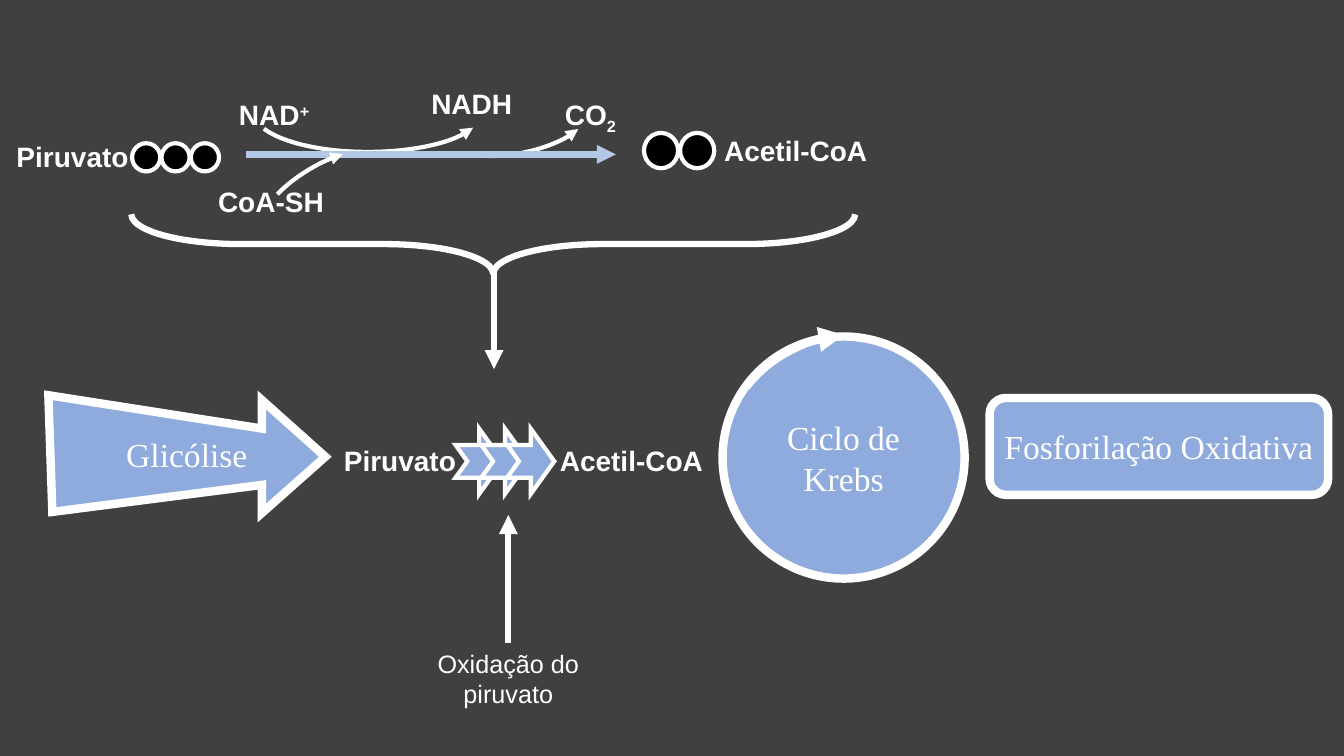
from dataclasses import dataclass

from lxml import etree
from pptx import Presentation
from pptx.dml.color import RGBColor
from pptx.enum.shapes import MSO_CONNECTOR, MSO_SHAPE
from pptx.enum.text import MSO_ANCHOR, MSO_AUTO_SIZE, PP_ALIGN
from pptx.oxml.ns import qn
from pptx.util import Cm, Pt

STRAIGHT = MSO_CONNECTOR.STRAIGHT
ARC, OVAL = MSO_SHAPE.ARC, MSO_SHAPE.OVAL
BRACE, CHEVRON = MSO_SHAPE.LEFT_BRACE, MSO_SHAPE.NOTCHED_RIGHT_ARROW
ROUNDED = MSO_SHAPE.ROUNDED_RECTANGLE
CENTER, MIDDLE = PP_ALIGN.CENTER, MSO_ANCHOR.MIDDLE
FIT_SHAPE = MSO_AUTO_SIZE.SHAPE_TO_FIT_TEXT
TOP = 0


@dataclass(frozen=True)
class Theme:
    background: str = "404040"
    white: str = "FFFFFF"
    carbon: str = "000000"
    stage: str = "8FAADC"
    reaction: str = "B4C7E7"
    label_font: str = "Arial"
    stage_font: str = "Times New Roman"
    label_size: int = 20
    note_size: int = 18
    stage_size: int = 24
    thin: float = 3
    medium: float = 4.5
    thick: float = 6


class Diagram:
    def __init__(self, slide, theme):
        self.s, self.t = slide, theme
        fill = slide.background.fill
        fill.solid()
        fill.fore_color.rgb = RGBColor.from_string(theme.background)

    def outline(self, sp, width, color=None, head=None):
        """Style a line; head is "headEnd" or "tailEnd"."""
        sp.line.color.rgb = RGBColor.from_string(color or self.t.white)
        sp.line.width = Pt(width)
        ln = sp.line._get_or_add_ln()
        etree.SubElement(ln, qn("a:miter"), lim="800000")
        if head:
            etree.SubElement(ln, qn("a:" + head), type="triangle")

    def paint(self, sp, fill, width, head=None):
        sp.shadow.inherit = False
        if fill:
            sp.fill.solid()
            sp.fill.fore_color.rgb = RGBColor.from_string(fill)
        else:
            sp.fill.background()
        self.outline(sp, width, head=head)

    def group(self):
        return self.s.shapes.add_group_shape()

    def shape(self, kind, box, fill, width, parent=None, adj=(), rot=0, head=None):
        shapes = parent.shapes if parent else self.s.shapes
        sp = shapes.add_shape(kind, *map(Cm, box))
        for i, value in enumerate(adj):
            sp.adjustments[i] = value
        sp.rotation = rot
        self.paint(sp, fill, width, head)
        return sp

    def row(self, kind, count, step, box, fill):
        """Group of equal shapes set side by side."""
        x, *rest = box
        parent = self.group()
        for i in range(count):
            self.shape(kind, (x + i * step, *rest), fill, self.t.thin, parent)

    def outline_shape(self, points, fill, width):
        start, *others = [(Cm(x), Cm(y)) for x, y in points]
        builder = self.s.shapes.build_freeform(*start)
        builder.add_line_segments(others, close=True)
        sp = builder.convert_to_shape()
        self.paint(sp, fill, width)
        return sp

    def run(self, p, text, font, size, bold=False, baseline=None):
        r = p.add_run()
        r.text = text
        r.font.name, r.font.size, r.font.bold = font, Pt(size), bold
        r.font.color.rgb = RGBColor.from_string(self.t.white)
        if baseline:
            r.font._element.set("baseline", str(baseline))

    def stage_text(self, sp, text):
        tf = sp.text_frame
        tf.word_wrap, tf.vertical_anchor = True, MIDDLE
        tf.margin_left = tf.margin_right = Cm(0.1)
        p = tf.paragraphs[0]
        p.alignment = CENTER
        self.run(p, text, self.t.stage_font, self.t.stage_size)

    def label(self, box, text, script="", baseline=None, size=None, bold=True):
        sp = self.s.shapes.add_textbox(*map(Cm, box))
        tf = sp.text_frame
        tf.word_wrap, tf.auto_size = True, FIT_SHAPE
        p = tf.paragraphs[0]
        p.alignment = CENTER
        size = size or self.t.label_size
        self.run(p, text, self.t.label_font, size, bold)
        if script:
            self.run(p, script, self.t.label_font, size, bold, baseline)
        return sp

    def arrow(self, start, end, color=None):
        cx = self.s.shapes.add_connector(STRAIGHT, *map(Cm, start + end))
        self.outline(cx, self.t.medium, color, "tailEnd")
        etree.SubElement(cx.element.spPr, qn("a:effectLst"))
        return cx


def main():
    prs = Presentation()
    prs.slide_width, prs.slide_height = Cm(33.87), Cm(19.05)
    t = Theme()
    d = Diagram(prs.slides.add_slide(prs.slide_layouts[6]), t)

    # Reaction: curved arrows, carbons and main arrow
    d.shape(ARC, (11.25, 2.44, 3.58, 1.42), None, t.thin,
            adj=(117, 200.74), rot=168.7, head="headEnd")
    d.shape(ARC, (8.28, -0.03, 1.98, 5.74), None, t.thin,
            adj=(166.86, 48.73), rot=90, head="headEnd")
    d.row(OVAL, 2, 0.91, (16.23, 3.35, 0.86, 0.89), t.carbon)
    d.arrow((6.2, 3.89), (15.52, 3.89), t.reaction)
    d.row(OVAL, 3, 0.74, (3.33, 3.61, 0.71, 0.71), t.carbon)
    coa_arc = d.shape(ARC, (6.45, 4.19, 3.28, 1.19), None, t.thin,
                      adj=(124.54, 200.84), rot=149.1, head="headEnd")
    coa_arc.element.spPr.get_or_add_xfrm().set("flipV", "1")

    # Reaction labels
    d.label((10.57, 2.06, 2.64, 1.12), "NADH")
    d.label((5.59, 2.34, 2.64, 1.12), "NAD", "+", 30000)
    d.label((13.56, 2.34, 2.64, 1.12), "CO", "2", -25000)
    d.label((5.13, 4.52, 3.4, 1.12), "CoA-SH")

    # Stages of respiration
    glycolysis = d.outline_shape(
        [(1.22, 9.96), (6.6, 10.8), (6.6, 10.08), (8.2, 11.51),
         (6.6, 12.93), (6.6, 12.22), (1.32, 12.9)], t.stage, t.thick)
    d.stage_text(glycolysis, "Glicólise")
    cycle = d.group()
    krebs = d.shape(OVAL, (18.21, 8.48, 6.1, 6.1), t.stage, t.thick, cycle)
    d.stage_text(krebs, "Ciclo de Krebs")
    d.shape(ARC, (18.21, 8.43, 6.76, 6.1), None, t.thick, cycle,
            adj=(127.21, 158.34), head="tailEnd")
    phosphorylation = d.shape(ROUNDED, (24.94, 10.03, 8.53, 2.44), t.stage, t.thick)
    d.stage_text(phosphorylation, "Fosforilação Oxidativa")
    d.row(CHEVRON, 3, 0.65, (11.48, 10.8, 1.19, 1.65), t.stage)

    # Oxidation note and its arrow
    note = d.label((10.41, 16.21, 4.8, 1.8), "Oxidação do piruvato",
                   size=t.note_size, bold=False)
    d.arrow((12.81, 16.21), (12.81, 12.98)).begin_connect(note, TOP)

    # Brace leading from the reaction to its stage
    d.shape(BRACE, (11.68, -2.97, 1.5, 18.24), None, t.medium,
            adj=(1.84, 0.5), rot=270)
    d.arrow((12.45, 6.88), (12.45, 9.3))

    # Substrate and product, in both rows
    for x, y in ((0.13, 3.4), (8.38, 11.05)):
        d.label((x, y, 3.4, 1.12), "Piruvato")
    for x, y in ((17.96, 3.25), (13.82, 11.05)):
        d.label((x, y, 4.19, 1.12), "Acetil-CoA")

    prs.save("out.pptx")


if __name__ == "__main__":
    main()
